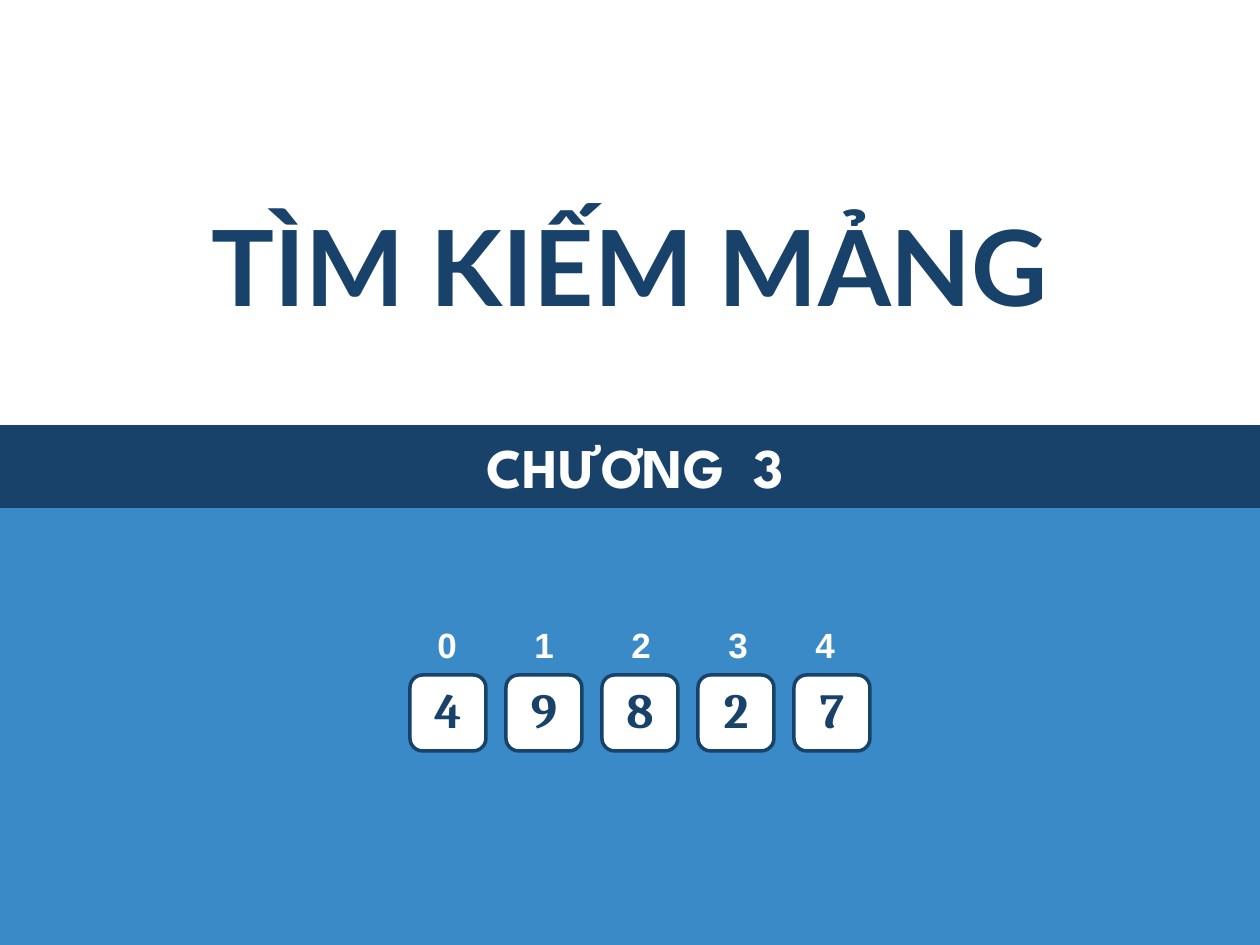
from lxml import etree
from pptx import Presentation
from pptx.dml.color import RGBColor
from pptx.enum.shapes import MSO_SHAPE
from pptx.enum.text import MSO_ANCHOR, MSO_AUTO_SIZE, PP_ALIGN
from pptx.oxml.ns import qn
from pptx.util import Emu, Pt

RECTANGLE = MSO_SHAPE.RECTANGLE
ROUNDED = MSO_SHAPE.ROUNDED_RECTANGLE
CENTER, LEFT = PP_ALIGN.CENTER, PP_ALIGN.LEFT
MIDDLE, TOP = MSO_ANCHOR.MIDDLE, MSO_ANCHOR.TOP
NO_AUTOFIT = MSO_AUTO_SIZE.NONE

EMU_PER_PX = 914400 // 126
SLIDE_WIDTH, SLIDE_HEIGHT = 1260, 945
NAVY, BLUE, WHITE = "19426B", "398AC7", "FFFFFF"

ARRAY_VALUES = [4, 9, 8, 2, 7]
CELL_LEFT, CELL_TOP, CELL_SIZE, CELL_PITCH = 410, 675, 76, 96
INDEX_TABS = [97, 194, 291, 378]


def px(length):
    """Convert whole pixels to EMU."""
    return Emu(round(length * EMU_PER_PX))


def color(hex_string):
    """Turn a hex string into a colour."""
    return RGBColor.from_string(hex_string)


def write(shape, text, font, size, hex_string, align=CENTER, anchor=TOP):
    """Put one bold line of text into a shape and return its paragraph."""
    frame = shape.text_frame
    frame.text = text
    frame.word_wrap = True
    frame.auto_size = NO_AUTOFIT
    frame.vertical_anchor = anchor
    paragraph = frame.paragraphs[0]
    paragraph.alignment = align
    for run in paragraph.runs:
        run.font.name = font
        run.font.size = Pt(size)
        run.font.bold = True
        run.font.color.rgb = color(hex_string)
    return paragraph


def add_box(slide, kind, left, top, width, height, fill, line=None, line_width=1):
    """Add a filled preset shape with an optional outline."""
    shape = slide.shapes.add_shape(kind, px(left), px(top), px(width), px(height))
    shape.shadow.inherit = False
    shape.fill.solid()
    shape.fill.fore_color.rgb = color(fill)
    if line:
        shape.line.color.rgb = color(line)
        shape.line.width = Pt(line_width)
    else:
        shape.line.fill.background()
    return shape


def add_text(slide, left, top, width, height, *style, **layout):
    """Add a text box with one line and return its paragraph."""
    box = slide.shapes.add_textbox(px(left), px(top), px(width), px(height))
    return write(box, *style, **layout)


def set_title(slide, text):
    """Place and format the title, and drop the unused subtitle."""
    title, subtitle = slide.placeholders
    subtitle.element.getparent().remove(subtitle.element)
    title.left, title.top = px(0), px(105)
    title.width, title.height = px(SLIDE_WIDTH), px(294)
    paragraph = write(title, text, "Lato", 60, NAVY, anchor=MIDDLE)
    paragraph.line_spacing = 1.2
    paragraph.space_before = Pt(24)


def set_tabs(paragraph, positions):
    """Give a paragraph left-aligned tab stops."""
    properties = paragraph._p.get_or_add_pPr()
    tab_list = etree.SubElement(properties, qn("a:tabLst"))
    for position in positions:
        etree.SubElement(tab_list, qn("a:tab"), pos=str(px(position)), algn="l")


def add_array(slide):
    """Draw the array cells and the row of indices above them."""
    for index, value in enumerate(ARRAY_VALUES):
        left = CELL_LEFT + index * CELL_PITCH
        cell = add_box(slide, ROUNDED, left, CELL_TOP, CELL_SIZE, CELL_SIZE,
                       WHITE, NAVY, 2)
        write(cell, str(value), "Cambria", 28, NAVY, anchor=MIDDLE)
        cell.text_frame.margin_top = px(0)
        cell.text_frame.margin_bottom = px(8)
    indices = "\t".join(str(index) for index in range(len(ARRAY_VALUES)))
    paragraph = add_text(slide, 425, 617, 454, 55, indices, "Arial", 20, WHITE,
                         align=LEFT)
    set_tabs(paragraph, INDEX_TABS)


def main():
    """Build the chapter slide and save it."""
    presentation = Presentation()
    presentation.slide_width = px(SLIDE_WIDTH)
    presentation.slide_height = px(SLIDE_HEIGHT)
    slide = presentation.slides.add_slide(presentation.slide_layouts[0])
    set_title(slide, "TÌM KIẾM MẢNG")
    add_box(slide, RECTANGLE, 0, 486, SLIDE_WIDTH, SLIDE_HEIGHT - 486, BLUE)
    add_box(slide, RECTANGLE, 0, 426, SLIDE_WIDTH, 81, NAVY, NAVY, 0.75)
    chapter = add_text(slide, 105, 426, 1061, 81, "CHƯƠNG  3",
                       "League Spartan", 32, WHITE)
    chapter.space_before = Pt(10)
    add_array(slide)
    presentation.save("out.pptx")


if __name__ == "__main__":
    main()
